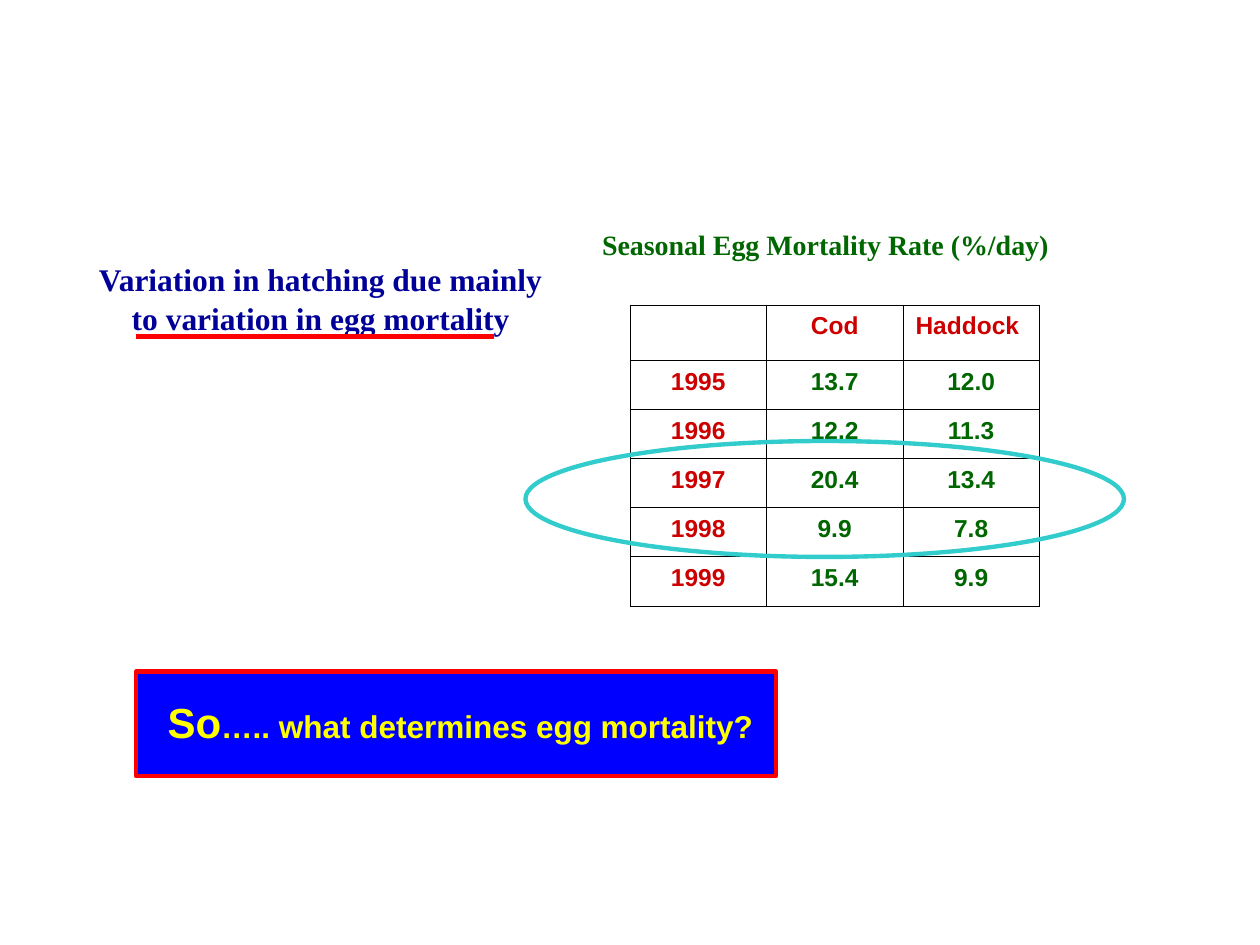
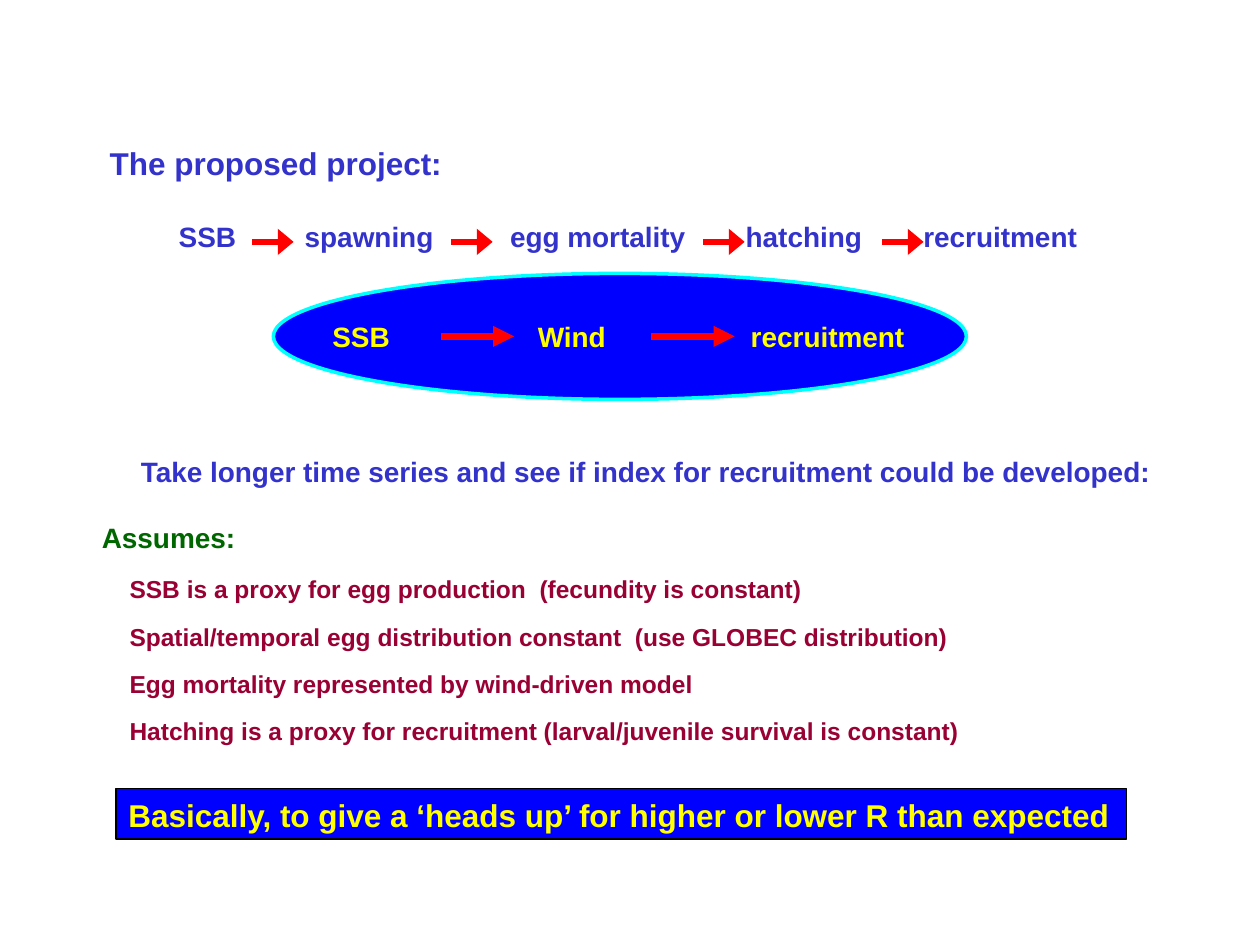
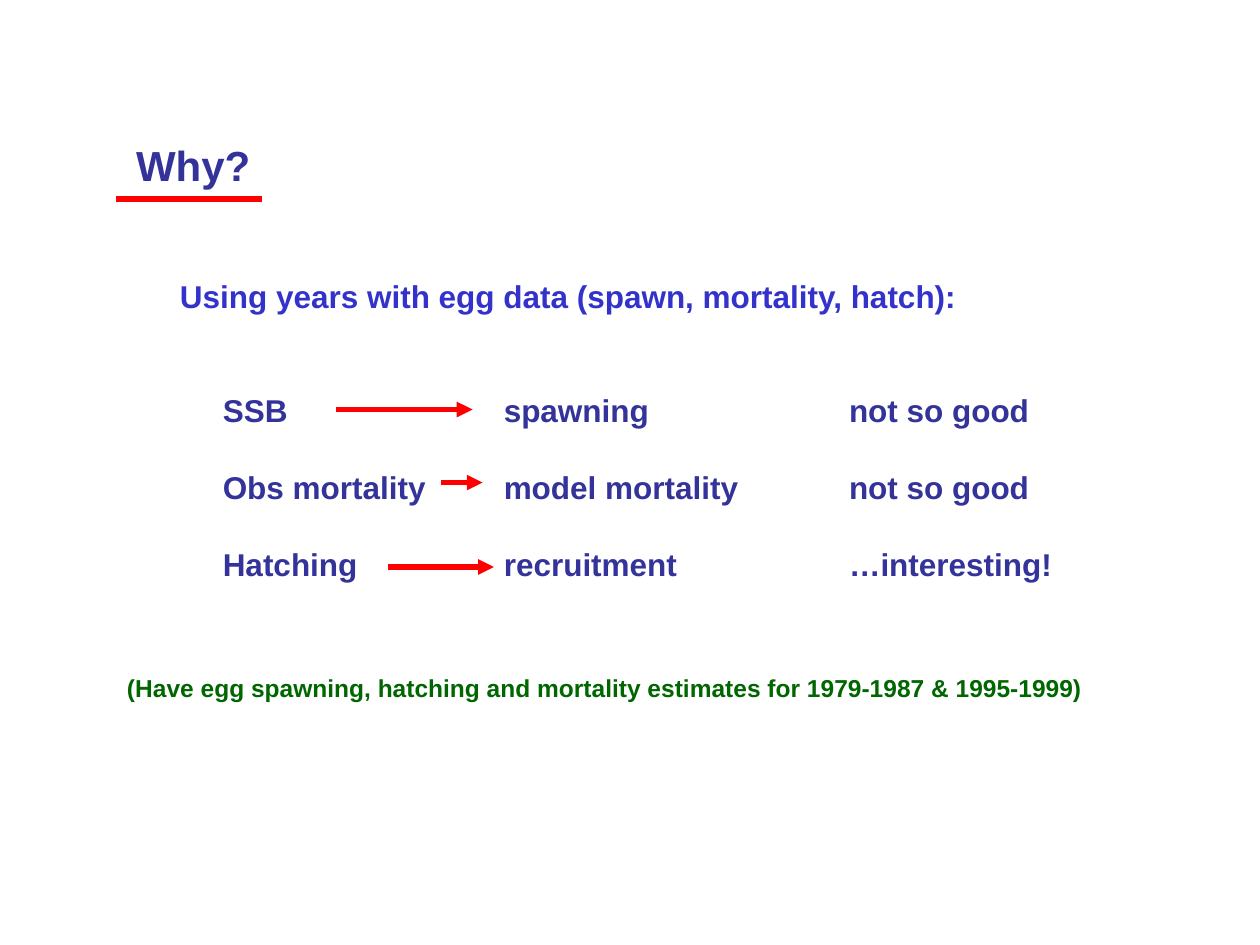
from dataclasses import dataclass

import pptx
import pptx.dml.color
import pptx.enum.shapes
import pptx.enum.text
import pptx.oxml
import pptx.oxml.ns
import pptx.util
from lxml import etree

Inches = pptx.util.Inches
Pt = pptx.util.Pt
LEFT = pptx.enum.text.PP_ALIGN.LEFT
CENTER = pptx.enum.text.PP_ALIGN.CENTER
OVAL = pptx.enum.shapes.MSO_SHAPE.OVAL
RECTANGLE = pptx.enum.shapes.MSO_SHAPE.RECTANGLE
qn = pptx.oxml.ns.qn


@dataclass(frozen=True)
class Theme:
    sans: str = "Arial"
    serif: str = "Times New Roman"
    red: str = "FF0000"
    blue: str = "0000FF"
    yellow: str = "FFFF00"
    black: str = "000000"
    green: str = "006600"
    crimson: str = "CC0000"
    maroon: str = "990033"
    navy: str = "000099"
    indigo: str = "333399"
    violet: str = "3333CC"
    teal: str = "33CCCC"
    cyan: str = "00FFFF"
    large: int = 24
    heading: int = 18
    body: int = 16
    small: int = 14
    line_spacing: float = 1.04


THEME = Theme()


def rgb(color):
    return pptx.dml.color.RGBColor.from_string(color)


def format_paragraph(paragraph, size, color, font=THEME.sans, align=LEFT, tabs=()):
    paragraph.alignment = align
    paragraph.line_spacing = THEME.line_spacing
    if tabs:
        stops = etree.SubElement(paragraph._p.get_or_add_pPr(), qn("a:tabLst"))
        for position in tabs:
            etree.SubElement(stops, qn("a:tab"), pos=str(Inches(position)), algn="l")
    paragraph.font.name = font
    paragraph.font.size = Pt(size)
    paragraph.font.bold = True
    paragraph.font.color.rgb = rgb(color)


def fill_frame(frame, lines, size, color, gap=0, inset=(0.1, 0.05), **style):
    frame.word_wrap = True
    frame.auto_size = pptx.enum.text.MSO_AUTO_SIZE.NONE
    frame.vertical_anchor = pptx.enum.text.MSO_ANCHOR.TOP
    frame.margin_left, frame.margin_top = map(Inches, inset)
    frame.margin_right = frame.margin_bottom = 0
    for index, line in enumerate(lines):
        paragraph = frame.add_paragraph() if index else frame.paragraphs[0]
        if index and gap:
            paragraph.space_before = Pt(gap)
        for part in line.split("\t"):
            if paragraph.runs:
                paragraph.add_run().text = "\t" + part
            else:
                paragraph.add_run().text = part
        format_paragraph(paragraph, size, color, **style)


def add_text(slide, at, lines, size, color, **style):
    box = slide.shapes.add_textbox(*map(Inches, at))
    fill_frame(box.text_frame, lines, size, color, **style)


def add_titled_slide(deck, title, at, size, color, **style):
    slide = deck.slides.add_slide(deck.slide_layouts[5])
    heading = slide.shapes.title
    heading.left, heading.top, heading.width, heading.height = map(Inches, at)
    fill_frame(heading.text_frame, [title], size, color, **style)
    return slide


def add_panel(slide, preset, at, line_color, line_width, fill=None):
    panel = slide.shapes.add_shape(preset, *map(Inches, at))
    panel.shadow.inherit = False
    if fill:
        panel.fill.solid()
        panel.fill.fore_color.rgb = rgb(fill)
    else:
        panel.fill.background()
    panel.line.color.rgb = rgb(line_color)
    panel.line.width = Pt(line_width)
    return panel


def add_rule(slide, start, end, y, width=3, head=None):
    rule = slide.shapes.add_connector(
        pptx.enum.shapes.MSO_CONNECTOR.STRAIGHT,
        Inches(start), Inches(y), Inches(end), Inches(y))
    rule.line.color.rgb = rgb(THEME.red)
    rule.line.width = Pt(width)
    if head:
        etree.SubElement(rule.line._get_or_add_ln(), qn("a:tailEnd"),
                         type="triangle", w=head, len="med")
    etree.SubElement(rule._element.spPr, qn("a:effectLst"))


def add_borders(cell, width):
    properties = cell._tc.get_or_add_tcPr()
    for side in ("lnL", "lnR", "lnT", "lnB"):
        border = etree.SubElement(properties, qn(f"a:{side}"), w=str(Pt(width)))
        solid = etree.SubElement(border, qn("a:solidFill"))
        etree.SubElement(solid, qn("a:srgbClr"), val=THEME.black)


def add_rate_table(slide, at, rates, heights):
    frame = slide.shapes.add_table(len(rates), len(rates[0]), *map(Inches, at))
    table = frame.table
    table.first_row = table.horz_banding = False
    for row, height in zip(table.rows, heights):
        row.height = Inches(height)
    for r, values in enumerate(rates):
        for c, value in enumerate(values):
            cell = table.cell(r, c)
            add_borders(cell, 0.45)
            cell.fill.background()
            paragraph = cell.text_frame.paragraphs[0]
            paragraph.text = value
            format_paragraph(paragraph, THEME.small,
                             THEME.green if r and c else THEME.crimson,
                             align=LEFT if value == "Haddock" else CENTER)


def build_mortality(deck):
    slide = add_titled_slide(
        deck, "Variation in hatching due mainly to variation in egg mortality",
        (0.67, 2, 3.75, 0.7), THEME.heading, THEME.navy,
        font=THEME.serif, align=CENTER, inset=(0, 0.05))
    add_text(slide, (4.68, 1.75, 4, 0.37), ["Seasonal Egg Mortality Rate (%/day)"],
             THEME.body, THEME.green, font=THEME.serif)
    add_rule(slide, 1.08, 3.92, 2.67, width=2.5)

    question = add_panel(slide, RECTANGLE, (1.08, 5.33, 5.08, 0.83),
                         THEME.red, 2.5, THEME.blue)
    fill_frame(question.text_frame, ["So"], THEME.heading, THEME.yellow,
               inset=(0.25, 0.18))
    opening = question.text_frame.paragraphs[0]
    opening.runs[0].font.size = Pt(THEME.large)
    opening.add_run().text = "….. what determines egg mortality?"

    rates = [
        ("", "Cod", "Haddock"),
        ("1995", "13.7", "12.0"),
        ("1996", "12.2", "11.3"),
        ("1997", "20.4", "13.4"),
        ("1998", "9.9", "7.8"),
        ("1999", "15.4", "9.9"),
    ]
    add_rate_table(slide, (5, 2.42, 3.25, 2.38), rates, [0.44] + [0.39] * 5)
    add_panel(slide, OVAL, (4.17, 3.5, 4.75, 0.92), THEME.teal, 2.5)


def build_project(deck):
    slide = add_titled_slide(deck, "The proposed project:", (0.77, 1.08, 4, 0.4),
                             THEME.heading, THEME.violet)
    add_panel(slide, OVAL, (2.17, 2.17, 5.5, 1), THEME.cyan, 2, THEME.blue)
    add_text(slide, (1.32, 1.68, 7.6, 0.37),
             ["SSB\tspawning\tegg mortality\thatching\trecruitment"],
             THEME.body, THEME.violet, tabs=(1, 2.63, 4.5, 5.91))
    add_text(slide, (2.54, 2.48, 4.9, 0.37), ["SSB\tWind\trecruitment"],
             THEME.body, THEME.yellow, tabs=(1.63, 3.32))
    add_text(slide, (1.02, 3.55, 8.4, 0.37),
             ["Take longer time series and see if index for recruitment could be developed:"],
             THEME.body, THEME.violet)
    for start in (2, 3.58, 5.58, 7):
        add_rule(slide, start, start + 0.33, 1.92, head="lg")
    for start, end in ((3.5, 4.08), (5.17, 5.83)):
        add_rule(slide, start, end, 2.67, width=4, head="med")

    add_text(slide, (0.71, 4.07, 3, 0.37), ["Assumes:"], THEME.body, THEME.green)
    assumptions = [
        "SSB is a proxy for egg production  (fecundity is constant)",
        "Spatial/temporal egg distribution constant  (use GLOBEC distribution)",
        "Egg mortality represented by wind-driven model",
        "Hatching is a proxy for recruitment (larval/juvenile survival is constant)",
    ]
    add_text(slide, (0.93, 4.5, 7.5, 1.44), assumptions,
             THEME.small, THEME.maroon, gap=9.6)

    purpose = add_panel(slide, RECTANGLE, (0.92, 6.26, 8.02, 0.4),
                        THEME.black, 0.75, THEME.blue)
    fill_frame(purpose.text_frame,
               ["Basically, to give a ‘heads up’ for higher or lower R than expected"],
               THEME.heading, THEME.yellow)


def build_reasons(deck):
    slide = add_titled_slide(deck, "Why?", (0.98, 1.04, 2, 0.5),
                             THEME.large, THEME.indigo)
    add_rule(slide, 0.92, 2.08, 1.58)
    add_text(slide, (1.33, 2.14, 7.2, 0.4),
             ["Using years with egg data (spawn, mortality, hatch):"],
             THEME.heading, THEME.violet)
    findings = [
        "SSB\tspawning\tnot so good",
        "Obs mortality\tmodel mortality\tnot so good",
        "Hatching\trecruitment\t…interesting!",
    ]
    add_text(slide, (1.67, 3.04, 7.2, 1.6), findings, THEME.heading, THEME.indigo,
             gap=21.6, tabs=(2.23, 4.97))
    for start, end, y in ((2.67, 3.75, 3.25), (3.5, 3.83, 3.83), (3.08, 3.92, 4.5)):
        add_rule(slide, start, end, y, head="med")
    add_text(slide, (0.91, 5.28, 8, 0.34),
             ["(Have egg spawning, hatching and mortality estimates for 1979-1987 & 1995-1999)"],
             THEME.small, THEME.green)


def main():
    deck = pptx.Presentation()
    deck.slide_width = Inches(10)
    deck.slide_height = Inches(7.5)
    build_mortality(deck)
    build_project(deck)
    build_reasons(deck)
    deck.save("out.pptx")


if __name__ == "__main__":
    main()
